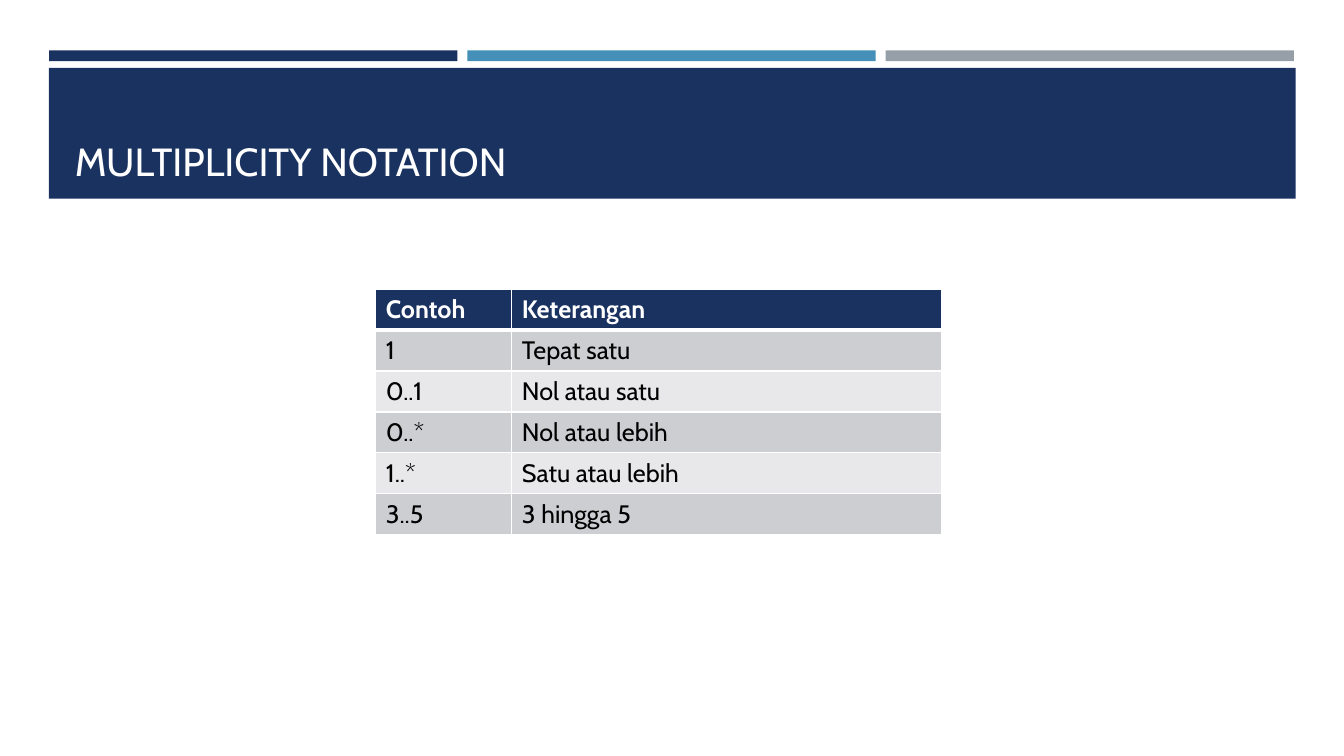
"""Build the multiplicity notation slide."""
from dataclasses import dataclass

from lxml import etree
from pptx import Presentation
from pptx.dml.color import RGBColor
from pptx.enum.shapes import MSO_SHAPE
from pptx.enum.text import MSO_ANCHOR, MSO_AUTO_SIZE, PP_ALIGN
from pptx.oxml.ns import qn
from pptx.slide import Slide
from pptx.table import _Cell
from pptx.text.text import TextFrame
from pptx.util import Cm, Pt

RECTANGLE = MSO_SHAPE.RECTANGLE
BOTTOM = MSO_ANCHOR.BOTTOM
LEFT = PP_ALIGN.LEFT
NO_AUTOFIT = MSO_AUTO_SIZE.NONE

FONT = "Cabin"
TITLE_ONLY = 5
COLORS = {
    "navy": "1A3260",
    "blue": "4590B8",
    "gray": "969FA7",
    "white": "FFFFFF",
    "black": "000000",
    "odd_row": "CDCED2",
    "even_row": "E8E8EA",
}
ROWS = [
    ("Contoh", "Keterangan"),
    ("1", "Tepat satu"),
    ("0..1", "Nol atau satu"),
    ("0..*", "Nol atau lebih"),
    ("1..*", "Satu atau lebih"),
    ("3..5", "3 hingga 5"),
]
COLUMN_WIDTHS = (3.43, 10.82)
ROW_HEIGHT = 1.03


@dataclass(frozen=True)
class Block:
    """A filled rectangle measured in centimetres."""

    left: float
    top: float
    width: float
    height: float
    color: str


BAR_PITCH = 10.54
BLOCKS = [
    Block(1.24 + index * BAR_PITCH, 1.27, 10.29, 0.27, color)
    for index, color in enumerate(("navy", "blue", "gray"))
] + [Block(1.23, 1.71, 31.42, 3.3, "navy")]


def rgb(color: str) -> RGBColor:
    """Return the named colour."""
    return RGBColor.from_string(COLORS[color])


def draw_block(slide: Slide, block: Block) -> None:
    """Draw one plain rectangle."""
    shape = slide.shapes.add_shape(
        RECTANGLE, Cm(block.left), Cm(block.top), Cm(block.width), Cm(block.height)
    )
    shape.shadow.inherit = False
    shape.fill.solid()
    shape.fill.fore_color.rgb = rgb(block.color)
    shape.line.fill.background()


def set_text(frame: TextFrame, text: str, size: int, color: str, bold: bool) -> None:
    """Write one left-aligned line and format its run."""
    frame.text = text
    paragraph = frame.paragraphs[0]
    paragraph.alignment = LEFT
    font = paragraph.runs[0].font
    font.name = FONT
    font.size = Pt(size)
    font.bold = bold
    font.color.rgb = rgb(color)


def add_title(slide: Slide, text: str) -> None:
    """Place the title in front of its band."""
    title = slide.shapes.title
    title.left, title.top, title.width, title.height = Cm(1.63), Cm(1.96), Cm(30.63), Cm(2.82)
    frame = title.text_frame
    frame.word_wrap = True
    frame.auto_size = NO_AUTOFIT
    frame.vertical_anchor = BOTTOM
    set_text(frame, text, 28, "white", False)
    slide.shapes._spTree.append(title._element)


def set_borders(cell: _Cell, top: int, bottom: int) -> None:
    """Give a cell white borders, with widths in points."""
    properties = cell._tc.get_or_add_tcPr()
    widths = {"lnL": 1, "lnR": 1, "lnT": top, "lnB": bottom}
    for position, (side, width) in enumerate(widths.items()):
        line = etree.Element(qn(f"a:{side}"), w=str(Pt(width)))
        fill = etree.SubElement(line, qn("a:solidFill"))
        etree.SubElement(fill, qn("a:srgbClr"), val=COLORS["white"])
        properties.insert(position, line)


def add_notation_table(slide: Slide) -> None:
    """Add the table of notations and meanings."""
    table = slide.shapes.add_table(
        len(ROWS), len(COLUMN_WIDTHS), Cm(9.47), Cm(7.29),
        Cm(sum(COLUMN_WIDTHS)), Cm(ROW_HEIGHT * len(ROWS)),
    ).table
    for column, width in zip(table.columns, COLUMN_WIDTHS):
        column.width = Cm(width)
    for index, texts in enumerate(ROWS):
        header = index == 0
        fill = "navy" if header else "odd_row" if index % 2 else "even_row"
        for cell, text in zip(table.rows[index].cells, texts):
            cell.fill.solid()
            cell.fill.fore_color.rgb = rgb(fill)
            set_borders(cell, 3 if index == 1 else 1, 3 if header else 1)
            set_text(cell.text_frame, text, 18, "white" if header else "black", header)


def main() -> None:
    """Build and save the presentation."""
    presentation = Presentation()
    presentation.slide_width, presentation.slide_height = Cm(33.87), Cm(19.05)
    slide = presentation.slides.add_slide(presentation.slide_layouts[TITLE_ONLY])
    for block in BLOCKS:
        draw_block(slide, block)
    add_title(slide, "MULTIPLICITY NOTATION")
    add_notation_table(slide)
    presentation.save("out.pptx")


if __name__ == "__main__":
    main()
